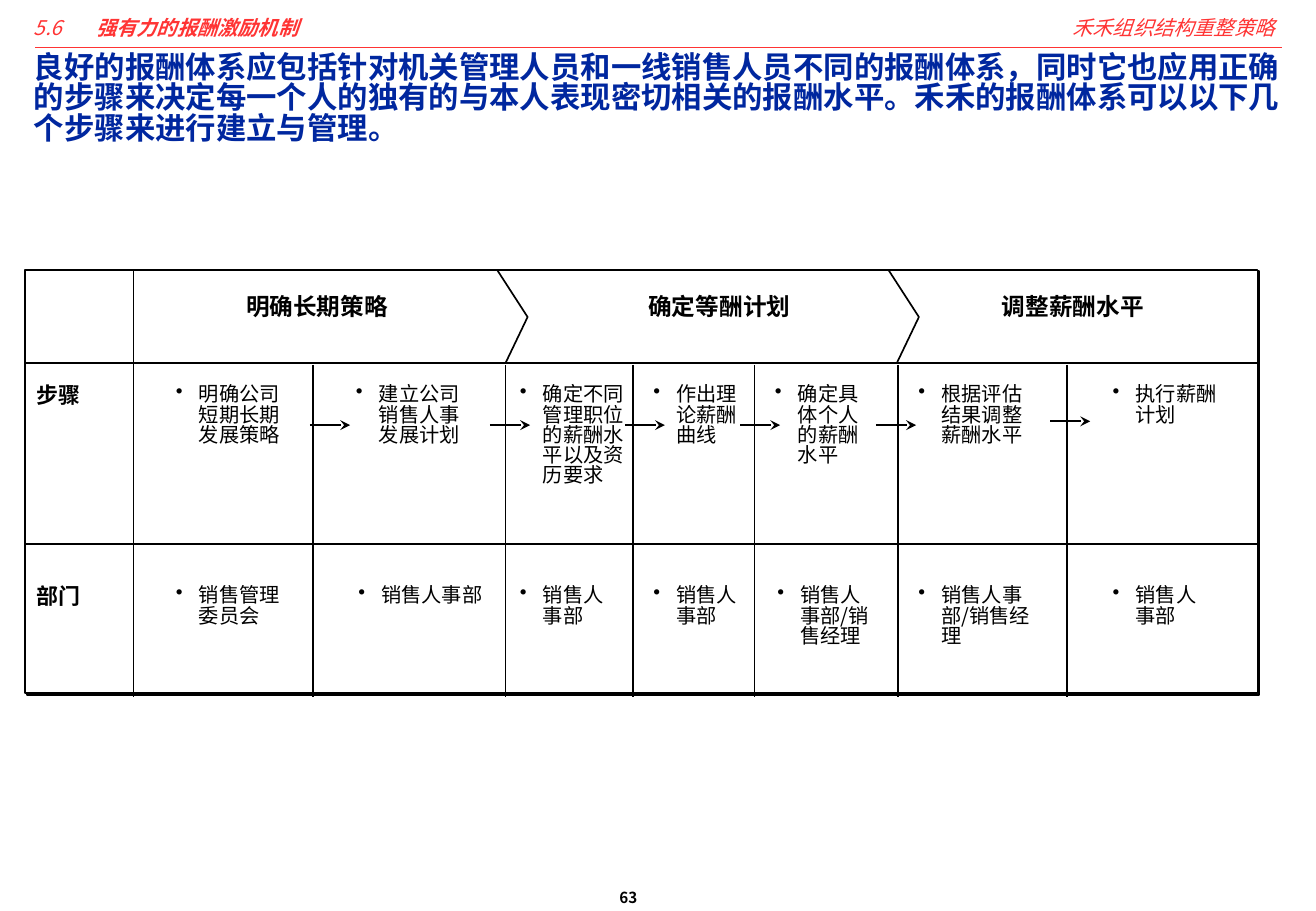
import pptx
import pptx.dml.color
import pptx.enum.shapes
import pptx.enum.text
import pptx.oxml
import pptx.oxml.ns
import pptx.util
from lxml import etree

Cm = pptx.util.Cm
Pt = pptx.util.Pt
qn = pptx.oxml.ns.qn
ALIGN = pptx.enum.text.PP_ALIGN

FONT = "Noto Sans CJK SC"
BLACK, WHITE, RED, BLUE = "000000", "FFFFFF", "FF3434", "00279F"


def colour(value):
    return pptx.dml.color.RGBColor.from_string(value)


def add_run(paragraph, text, size=12, color=BLACK, bold=False, italic=False):
    run = paragraph.add_run()
    run.text = text
    font = run.font
    font.name, font.size, font.bold, font.italic = FONT, Pt(size), bold, italic
    font.color.rgb = colour(color)
    east_asian = etree.SubElement(run._r.get_or_add_rPr(), qn("a:ea"))
    east_asian.set("typeface", FONT)


class SlideBuilder:
    line_width = Pt(1)
    line_spacing = 0.83
    bullet_indent = Cm(0.48)

    def __init__(self, presentation):
        self.slide = presentation.slides.add_slide(presentation.slide_layouts[6])
        self.shapes = self.slide.shapes

    def text(self, text, left, top, width, height, margins=(0.25, 0.13),
             align=ALIGN.LEFT, bullet=False, tab=None, wrap=True, **style):
        """Add a text box and return its paragraph."""
        box = self.shapes.add_textbox(Cm(left), Cm(top), Cm(width), Cm(height))
        frame = box.text_frame
        frame.word_wrap = wrap
        frame.margin_left = frame.margin_right = Cm(margins[0])
        frame.margin_top = frame.margin_bottom = Cm(margins[1])
        paragraph = frame.paragraphs[0]
        paragraph.alignment = align
        paragraph.line_spacing = self.line_spacing
        properties = paragraph._p.get_or_add_pPr()
        if bullet:
            properties.set("marL", str(self.bullet_indent))
            properties.set("indent", str(-self.bullet_indent))
            etree.SubElement(properties, qn("a:buChar")).set("char", "•")
        if tab:
            tabs = etree.SubElement(properties, qn("a:tabLst"))
            etree.SubElement(tabs, qn("a:tab"), pos=str(Cm(tab)), algn="l")
        add_run(paragraph, text, **style)
        return paragraph

    def line(self, x1, y1, x2, y2, color=BLACK, arrow=False):
        connector = self.shapes.add_connector(
            pptx.enum.shapes.MSO_CONNECTOR.STRAIGHT, Cm(x1), Cm(y1), Cm(x2), Cm(y2))
        connector.line.color.rgb = colour(color)
        connector.line.width = self.line_width
        if arrow:
            outline = connector.line._get_or_add_ln()
            etree.SubElement(outline, qn("a:tailEnd")).set("type", "stealth")
        etree.SubElement(connector._element.spPr, qn("a:effectLst"))

    def frame(self, left, top, width, height):
        """Add a white rectangle with a hard shadow."""
        shape = self.shapes.add_shape(
            pptx.enum.shapes.MSO_SHAPE.RECTANGLE, Cm(left), Cm(top), Cm(width), Cm(height))
        shape.fill.solid()
        shape.fill.fore_color.rgb = colour(WHITE)
        shape.line.color.rgb = colour(BLACK)
        shape.line.width = self.line_width
        shape.shadow.inherit = False
        effects = shape._element.spPr.find(qn("a:effectLst"))
        shadow = etree.SubElement(effects, qn("a:outerShdw"), blurRad="0",
                                  dist=str(Pt(1.4)), dir="2700000", algn="ctr", rotWithShape="0")
        etree.SubElement(shadow, qn("a:srgbClr")).set("val", BLACK)

    def outline(self, points):
        start, *rest = [(Cm(x), Cm(y)) for x, y in points]
        builder = self.shapes.build_freeform(*start)
        builder.add_line_segments(rest, close=False)
        shape = builder.convert_to_shape()
        shape.fill.background()
        shape.line.color.rgb = colour(BLACK)
        shape.line.width = self.line_width
        shape.shadow.inherit = False


def main():
    presentation = pptx.Presentation()
    presentation.slide_width, presentation.slide_height = Cm(27.51), Cm(19.05)
    page = SlideBuilder(presentation)

    # Header, title and page number
    page.line(0.74, 0.99, 26.8, 0.99, color=RED)
    section = page.text("5.6\t", 0.46, 0.2, 8.71, 1.02, margins=(0.25, 0.25),
                        tab=1.3, color=RED, italic=True)
    add_run(section, "强有力的报酬激励机制", color=RED, bold=True, italic=True)
    page.text("禾禾组织结构重整策略", 19.18, 0.2, 7.72, 1.02, margins=(0.25, 0.25),
              align=ALIGN.RIGHT, color=RED, italic=True)
    page.text("良好的报酬体系应包括针对机关管理人员和一线销售人员不同的报酬体系，"
              "同时它也应用正确的步骤来决定每一个人的独有的与本人表现密切相关的报酬水平。"
              "禾禾的报酬体系可以以下几个步骤来进行建立与管理。",
              0.46, 0.89, 26.67, 2.21, margins=(0.25, 0.25), size=18, color=BLUE, bold=True)
    page.text("63", 12.95, 18.64, 1.65, 0.43, margins=(0, 0), wrap=False, size=9, bold=True)

    # Frame, rows and columns
    left, top, header_bottom, steps_bottom, column_bottom = 0.53, 5.64, 7.59, 11.38, 14.58
    page.frame(left, top, 25.76, 8.86)
    for y in (header_bottom, steps_bottom):
        page.line(left, y, 26.34, y)
    page.line(2.79, top, 2.79, column_bottom)
    for x in (6.55, 10.57, 13.23, 15.77, 18.77, 22.3):
        page.line(x, 7.63, x, column_bottom)

    # Phases and the chevrons between them
    for x in (10.39, 18.57):
        page.outline([(x, top), (x + 0.64, 6.63), (x + 0.18, header_bottom)])
    for phase, x in (("明确长期策略", 2.92), ("确定等酬计划", 11.33), ("调整薪酬水平", 18.72)):
        page.text(phase, x, 6.07, 7.42, 0.84, align=ALIGN.CENTER, size=14, bold=True)

    # Steps and departments: text, left, width
    rows = (
        ("步骤", 7.94, 2.79, (
            ("明确公司短期长期发展策略", 3.43, 2.84),
            ("建立公司销售人事发展计划", 7.19, 2.82),
            ("确定不同管理职位的薪酬水平以及资历要求", 10.62, 2.82),
            ("作出理论薪酬曲线", 13.41, 2.29),
            ("确定具体个人的薪酬水平", 15.95, 2.29),
            ("根据评估结果调整薪酬水平", 18.95, 2.82),
            ("执行薪酬计划", 23.01, 2.82))),
        ("部门", 12.14, 2.29, (
            ("销售管理委员会", 3.43, 2.84),
            ("销售人事部", 7.24, 3.15),
            ("销售人事部", 10.62, 2.36),
            ("销售人事部", 13.41, 2.36),
            ("销售人事部/销售经理", 16, 2.44),
            ("销售人事部/销售经理", 18.95, 3.23),
            ("销售人事部", 23.01, 2.36))),
    )
    for label, y, height, entries in rows:
        page.text(label, 0.51, y, 3.56, 0.81, size=13, bold=True)
        for entry, x, width in entries:
            page.text(entry, x, y, width, height, bullet=True)

    # Arrows from step to step
    for x, y in ((6.48, 8.89), (10.24, 8.89), (13.06, 8.89),
                 (15.47, 8.89), (18.31, 8.89), (21.95, 8.81)):
        page.line(x, y, x + 0.84, y, arrow=True)

    presentation.save("out.pptx")


if __name__ == "__main__":
    main()
